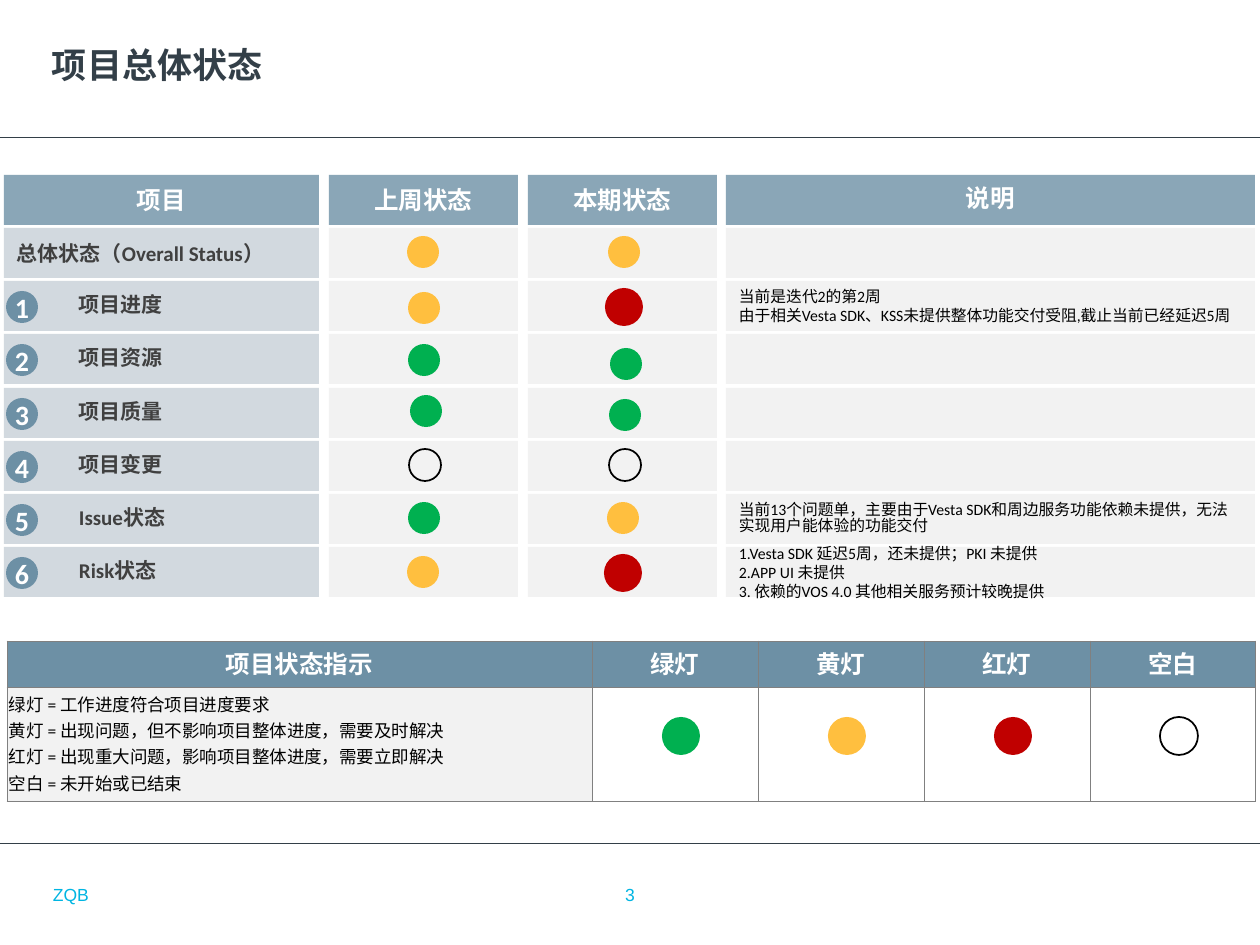
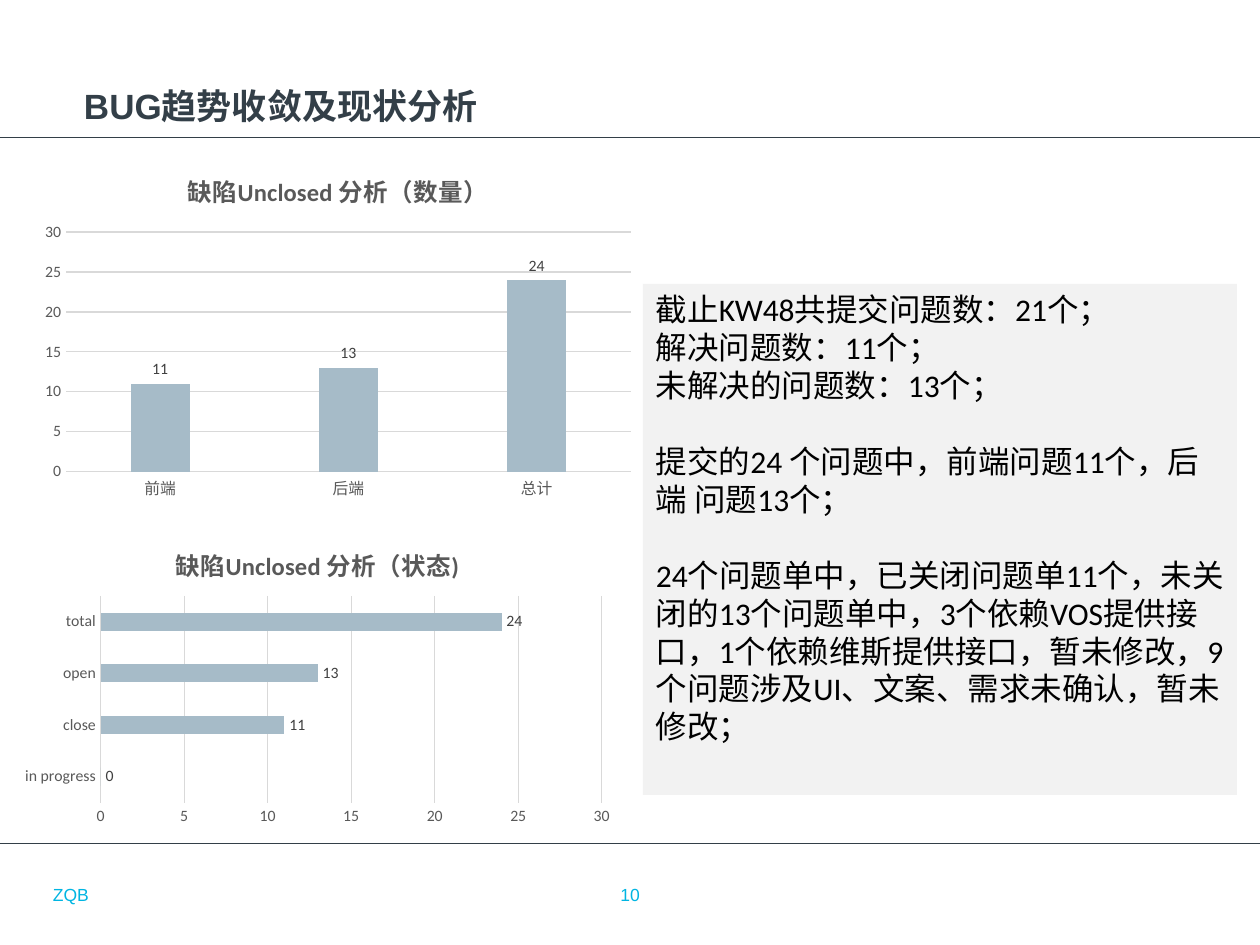
from pptx import Presentation
from pptx.util import Pt
from pptx.dml.color import RGBColor as Rgb
from pptx.chart.data import CategoryChartData as Data
from pptx.enum.chart import XL_CHART_TYPE as Kind, XL_LABEL_POSITION as Pos
from pptx.enum.chart import XL_TICK_MARK as Tick
from pptx.enum.shapes import MSO_CONNECTOR as Conn, MSO_SHAPE as Form
from pptx.enum.text import MSO_ANCHOR as Anchor, MSO_AUTO_SIZE as Auto
from pptx.enum.text import PP_ALIGN as Align
from pptx.oxml import parse_xml
from pptx.oxml.ns import nsdecls
from pptx.oxml.xmlchemy import OxmlElement as Node

SCALE = 914400 / 126
HUES = {
    "ink": "333F48", "cyan": "00B5E2", "steel": "6D90A5", "pale": "D2D9DF",
    "light": "F2F2F2", "white": "FFFFFF", "black": "000000", "dark": "404040",
    "gray": "595959", "rule": "D9D9D9", "edge": "808080", "bar": "A6BBC8",
    "green": "00B050", "amber": "FFBF3F", "red": "C00000",
}
LEFT, MID = Align.LEFT, Align.CENTER


def px(*nums):
    return [round(n * SCALE) for n in nums]


def hue(name):
    return Rgb.from_string(HUES[name])


def style(font, size, color, bold=False, face="Calibri"):
    font.size, font.bold, font.name = Pt(size), bold, face
    font.color.rgb = hue(color)


def write(frame, text, size=9, color="black", bold=False, face="Calibri",
          align=LEFT, lead=None, before=None):
    """Fill a text frame; before maps a paragraph number to the space above."""
    for i, line in enumerate(text.split("\n")):
        para = frame.add_paragraph() if i else frame.paragraphs[0]
        para.alignment = align
        if lead:
            para.line_spacing = lead
        if before and i in before:
            para.space_before = Pt(before[i])
        run = para.add_run()
        run.text = line
        style(run.font, size, color, bold, face)


def pad(frame, left=13, top=6, right=13, low=6, anchor=Anchor.MIDDLE):
    frame.margin_left, frame.margin_top, frame.margin_right, \
        frame.margin_bottom = px(left, top, right, low)
    frame.word_wrap, frame.vertical_anchor = True, anchor


def block(slide, box, fill=None, form=Form.RECTANGLE, edge=None, alpha=None):
    shape = slide.shapes.add_shape(form, *px(*box))
    shape.shadow.inherit = False
    if fill:
        shape.fill.solid()
        shape.fill.fore_color.rgb = hue(fill)
    else:
        shape.fill.background()
    if alpha:
        node = Node("a:alpha")
        node.set("val", str(alpha * 1000))
        shape.fill._xPr.find(".//{*}srgbClr").append(node)
    if edge:
        shape.line.color.rgb, shape.line.width = hue(edge), Pt(1)
    else:
        shape.line.fill.background()
    pad(shape.text_frame)
    return shape


def dot(slide, x, y, size, color):
    """Draw a status light around its centre; no color means a ring."""
    box = (x - size // 2, y - size // 2, size, size)
    return block(slide, box, color, Form.OVAL, None if color else "black")


# Shared page: title, two rules and footer
def page(deck, title, x, y, number):
    slide = deck.slides.add_slide(deck.slide_layouts[5])
    for rule in (137, 843):
        line = slide.shapes.add_connector(
            Conn.STRAIGHT, *px(0, rule, 1260, rule))
        line.line.color.rgb, line.line.width = hue("ink"), Pt(0.25)
        line._element.spPr.append(Node("a:effectLst"))
    for text, left, wide, align in (("ZQB", 53, 387, LEFT),
                                    (number, 483, 294, MID)):
        foot = slide.shapes.add_textbox(*px(left, 875, wide, 39)).text_frame
        pad(foot, 0, 0, 0, 0)
        write(foot, text, 10, "cyan", face="Arial", align=align)
    head = slide.shapes.title
    head.left, head.top, head.width, head.height = px(x, y, 1008, 78)
    pad(head.text_frame, 0, 0, 0, 0)
    head.text_frame.auto_size = Auto.NONE
    write(head.text_frame, title, 20, "ink", True, "Arial")
    return slide


# Status grid: each light is (color, shift right, shift down)
COLS = (("项目", 0, 315), ("上周状态", 325, 189),
        ("本期状态", 524, 189), ("说明", 722, 529))
ROWS = (
    ("总体状态（Overall Status）", ("amber", 0, -1), ("amber", 2, -1), ""),
    ("项目进度", ("amber", 1, 2), ("red", 2, 1),
     "当前是迭代2的第2周\n"
     "由于相关Vesta SDK、KSS未提供整体功能交付受阻,截止当前已经延迟5周"),
    ("项目资源", ("green", 1, 1), ("green", 4, 5), ""),
    ("项目质量", ("green", 3, -2), ("green", 3, 2), ""),
    ("项目变更", (None, 2, -1), (None, 3, -1), ""),
    ("Issue状态", ("green", 1, -1), ("amber", 1, -1),
     "当前13个问题单，主要由于Vesta SDK和周边服务功能依赖未提供，"
     "无法实现用户能体验的功能交付"),
    ("Risk状态", ("amber", 0, 0), ("red", 1, 1),
     "1.Vesta SDK 延迟5周，还未提供；PKI 未提供\n2.APP UI 未提供\n"
     "3. 依赖的VOS 4.0 其他相关服务预计较晚提供"),
)


def grid(slide, x, y, high=50, step=372 / 7):
    for text, left, wide in COLS:
        cell = block(slide, (x + left, y, wide, high), "steel", alpha=80)
        write(cell.text_frame, text, 14, "white", True, align=MID,
              lead=0.9 if text == "说明" else None)
    for i, (name, last, now, note) in enumerate(ROWS):
        top = y + round(step * (i + 1))
        cells = [block(slide, (x + left, top, wide, high),
                       "light" if left else "pale")
                 for _, left, wide in COLS]
        # Row name with its number
        if i:
            pad(cells[0].text_frame, left=75)
            badge = dot(slide, x + 18, top + high // 2 + 1, 32, "steel")
            pad(badge.text_frame, 0, 0, 0, 0)
            badge.text_frame.word_wrap = False
            write(badge.text_frame, str(i), 16, "white", True, align=MID)
        write(cells[0].text_frame, name, 12, "dark", True,
              lead=0.9 if i else None)
        # Lights
        for (color, dx, dy), (_, left, wide) in zip((last, now), COLS[1:3]):
            dot(slide, x + left + wide // 2 + dx, top + high // 2 + dy,
                38 if color == "red" else 32, color)
        if note:
            write(cells[3].text_frame, note,
                  lead=0.8 if name == "Issue状态" else None)


# Legend table
KEYS = (("绿灯", "green"), ("黄灯", "amber"), ("红灯", "red"), ("空白", None))
RULES = ("绿灯 = 工作进度符合项目进度要求\n"
         "黄灯 = 出现问题，但不影响项目整体进度，需要及时解决\n"
         "红灯 = 出现重大问题，影响项目整体进度，需要立即解决\n"
         "空白 = 未开始或已结束")


def frame_cell(cell):
    props = cell._tc.get_or_add_tcPr()
    for i, side in enumerate(("lnL", "lnR", "lnT", "lnB")):
        props.insert(i, parse_xml(
            f'<a:{side} {nsdecls("a")} w="6350"><a:solidFill><a:srgbClr '
            f'val="{HUES["edge"]}"/></a:solidFill></a:{side}>'))


def legend(slide, x, y, first=585, wide=166, head=46, body=114):
    count = len(KEYS)
    table = slide.shapes.add_table(
        2, count + 1, *px(x, y, first + wide * count, head + body)).table
    table.first_row = table.horz_banding = False
    for col, size in zip(table.columns, px(first, *[wide] * count)):
        col.width = size
    for row, size in zip(table.rows, px(head, body)):
        row.height = size
    for i, text in enumerate(("项目状态指示", *(key for key, _ in KEYS))):
        top, low = table.cell(0, i), table.cell(1, i)
        for cell, fill in ((top, "steel"), (low, "white" if i else "light")):
            cell.fill.solid()
            cell.fill.fore_color.rgb = hue(fill)
            cell.vertical_anchor = Anchor.MIDDLE
            frame_cell(cell)
        write(top.text_frame, text, 14, "white", True, align=MID,
              lead=0.9, before={0: 2.8})
    rules = table.cell(1, 0)
    rules.margin_left = px(2)[0]
    write(rules.text_frame, RULES, 10, lead=0.9,
          before=dict.fromkeys(range(count), 2))
    for i, (_, color) in enumerate(KEYS):
        dot(slide, x + first + wide * i + wide // 2 + 6,
            y + head + body // 2 - 8, 38, color)


# Bar chart of open defects
def graph(slide, box, kind, title, cats, vals, gap, lap=None):
    data = Data()
    data.categories = cats
    data.add_series("Series 1", vals)
    chart = slide.shapes.add_chart(kind, *px(*box), data).chart
    style(chart.font, 10, "black")
    chart.has_legend = False
    chart.has_title = True
    write(chart.chart_title.text_frame, title, 14, "gray", True, align=MID)
    chart.chart_title.include_in_layout = False
    cat, val = chart.category_axis, chart.value_axis
    for axis in (cat, val):
        axis.major_tick_mark = axis.minor_tick_mark = Tick.NONE
        style(axis.tick_labels.font, 9, "gray")
    val.minimum_scale, val.maximum_scale, val.major_unit = 0, 30, 5
    val.format.line.fill.background()
    val.has_major_gridlines = True
    for line in (cat.format.line, val.major_gridlines.format.line):
        line.color.rgb, line.width = hue("rule"), Pt(0.75)
    plot = chart.plots[0]
    plot.vary_by_categories = False
    plot.gap_width = gap
    if lap:
        plot.overlap = lap
    fill = plot.series[0].format.fill
    fill.solid()
    fill.fore_color.rgb = hue("bar")
    plot.has_data_labels = True
    tags = plot.data_labels
    tags.show_value, tags.position = True, Pos.OUTSIDE_END
    style(tags.font, 9, "dark")


# Findings panel
NOTES = ("截止KW48共提交问题数：21个；\n解决问题数：11个；\n"
         "未解决的问题数：13个；\n"
         "提交的24 个问题中，前端问题11个，后端 问题13个；\n"
         "24个问题单中，已关闭问题单11个，未关闭的13个问题单中，"
         "3个依赖VOS提供接口，1个依赖维斯提供接口，暂未修改，"
         "9个问题涉及UI、文案、需求未确认，暂未修改；")


def panel(slide, box):
    frame = block(slide, box, "light").text_frame
    pad(frame, anchor=Anchor.TOP)
    write(frame, NOTES, 18, before={3: 22, 4: 22})


def main():
    deck = Presentation()
    deck.slide_width, deck.slide_height = px(1260, 945)

    state = page(deck, "项目总体状态", 52, 26, "3")
    grid(state, 4, 175)
    legend(state, 7, 641)

    bugs = page(deck, "BUG趋势收敛及现状分析", 84, 67, "10")
    panel(bugs, (643, 284, 594, 511))
    graph(bugs, (33, 152, 610, 354), Kind.COLUMN_CLUSTERED,
          "缺陷Unclosed 分析（数量）", ("前端", "后端", "总计"),
          (11, 13, 24), 219, -27)
    graph(bugs, (13, 527, 609, 305), Kind.BAR_CLUSTERED,
          "缺陷Unclosed 分析（状态)", ("in progress", "close", "open", "total"),
          (0, 11, 13, 24), 182)
    deck.save("out.pptx")


if __name__ == "__main__":
    main()
